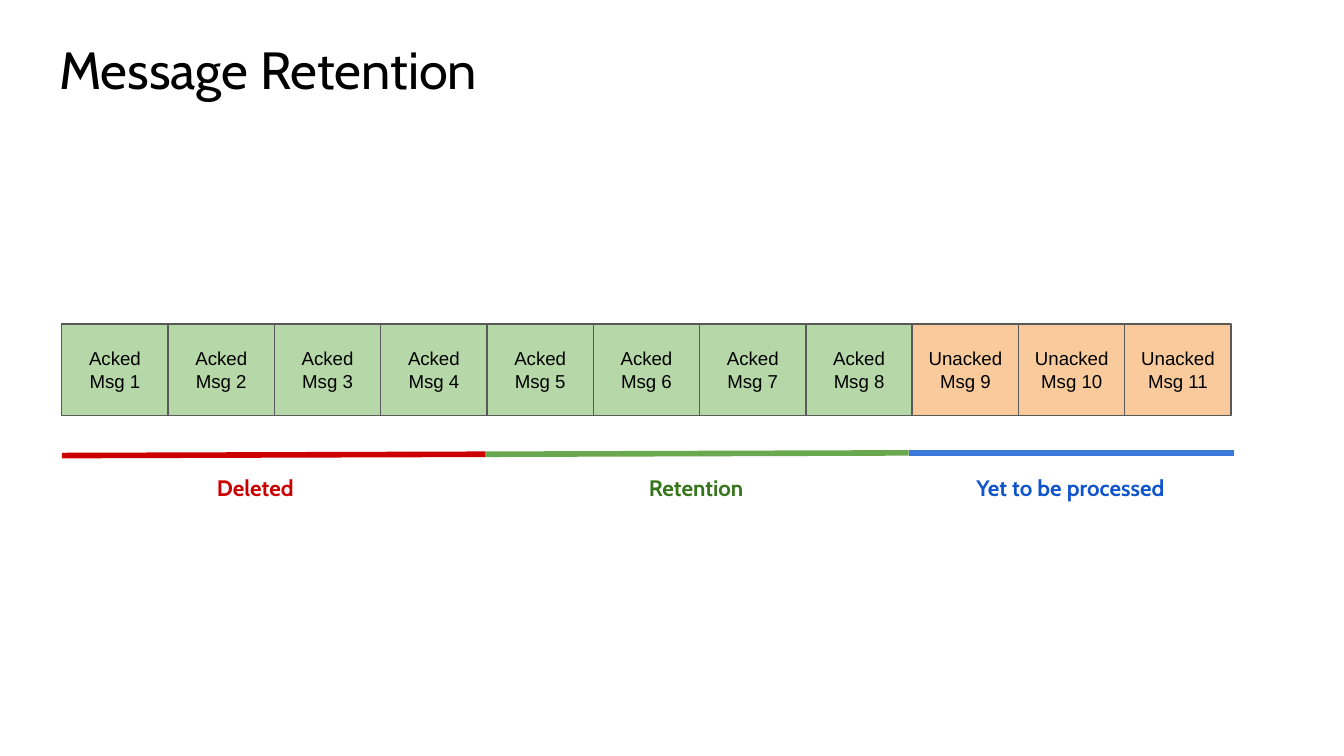
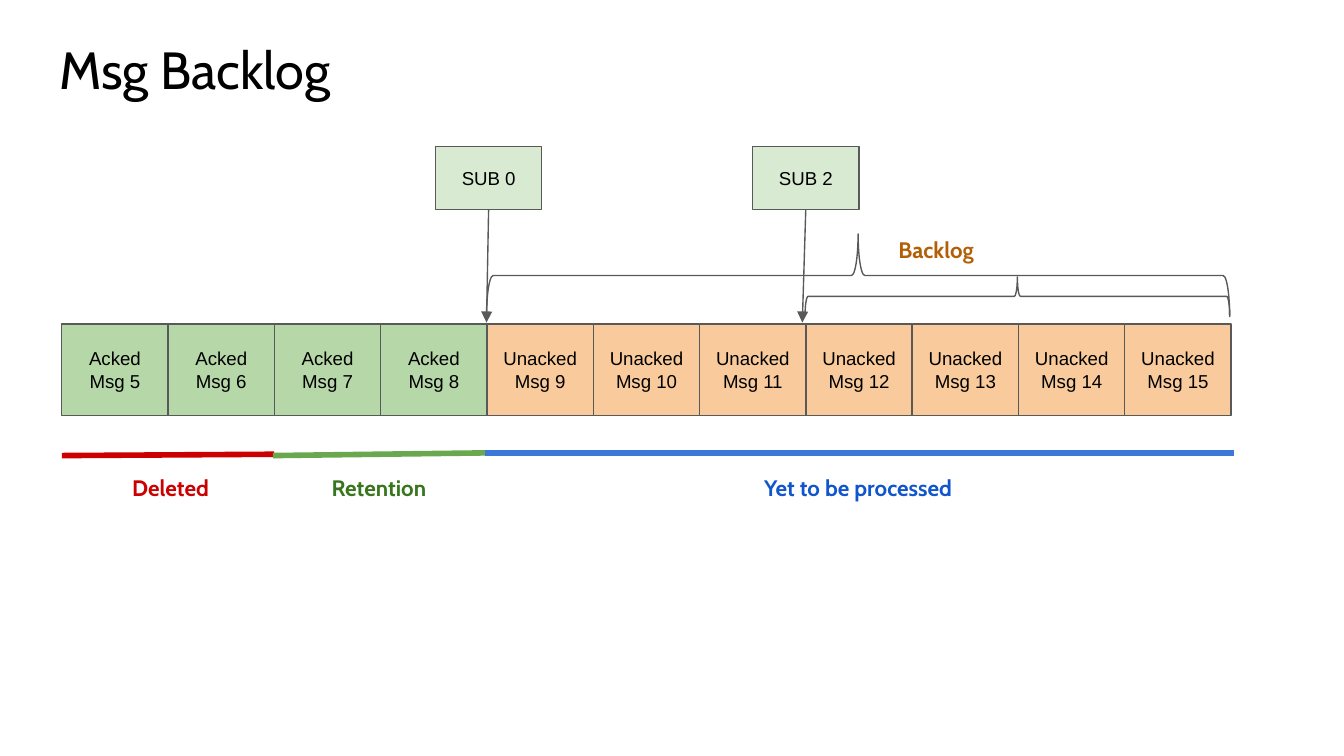
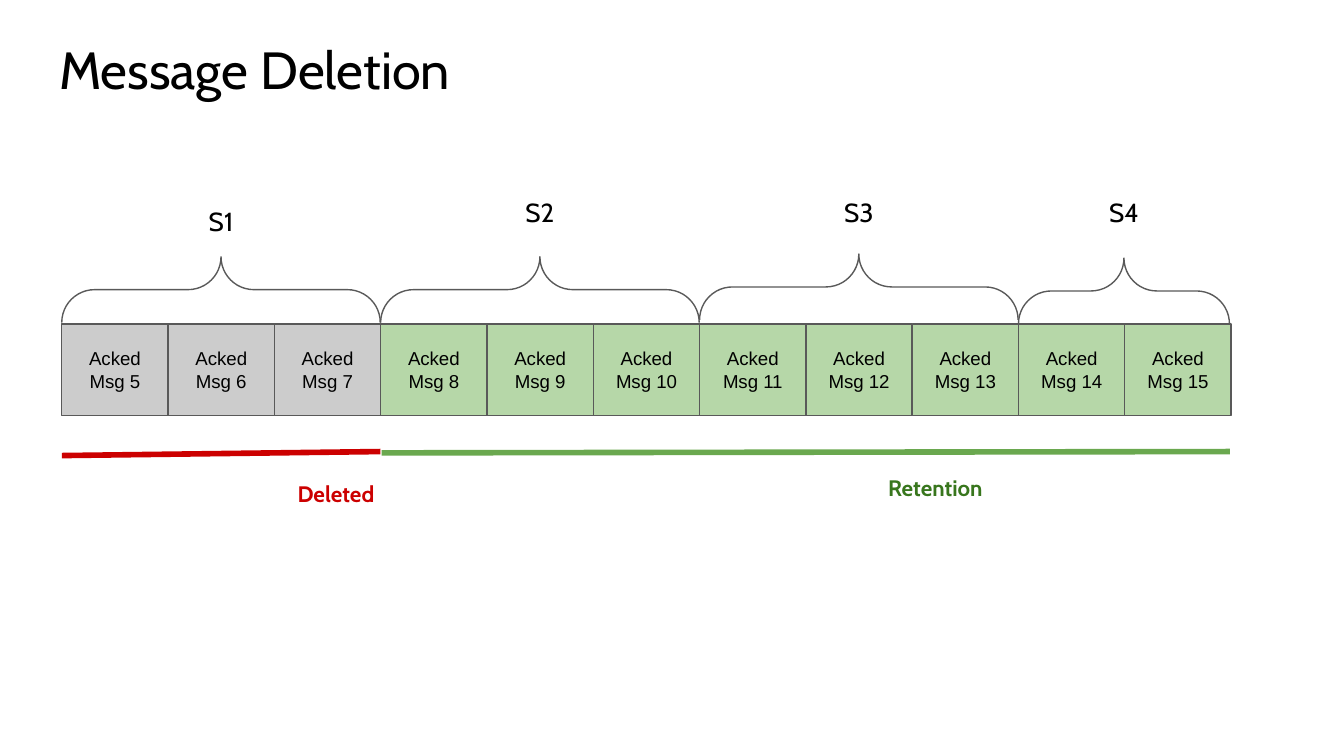
from lxml.etree import SubElement
from pptx import Presentation
from pptx.dml.color import RGBColor
from pptx.enum.shapes import MSO_CONNECTOR, MSO_SHAPE
from pptx.enum.text import MSO_ANCHOR, MSO_AUTO_SIZE, PP_ALIGN
from pptx.oxml.ns import qn
from pptx.util import Inches, Pt

BLACK = "000000"
GRAY = "595959"
SILVER = "CCCCCC"
GREEN = "B6D7A8"
PALE = "D9EAD3"
PEACH = "F9CB9C"
BROWN = "B45F06"

DELETED = ("Deleted", "CC0000", "CC0000")
KEPT = ("Retention", "6AA84F", "38761D")
PENDING = ("Yet to be processed", "3C78D8", "1155CC")

LEFT = 0.46
TOP = 2.41
WIDE = 8.7 / 11
HIGH = 0.68


def paint(part, color):
    part.solid()
    part.fore_color.rgb = RGBColor.from_string(color)


def edge(line, color, width):
    paint(line.fill, color)
    line.width = Pt(width)


def write(shape, lines, size, font, color=BLACK, bold=False,
          align=PP_ALIGN.CENTER, anchor=MSO_ANCHOR.MIDDLE):
    frame = shape.text_frame
    frame.word_wrap = True
    frame.auto_size = MSO_AUTO_SIZE.NONE
    frame.vertical_anchor = anchor
    frame.margin_left = frame.margin_right = Inches(0.1)
    frame.margin_top = frame.margin_bottom = Inches(0.1)
    for index, line in enumerate(lines):
        para = frame.add_paragraph() if index else frame.paragraphs[0]
        para.alignment = align
        run = para.add_run()
        run.text = line
        run.font.size = Pt(size)
        run.font.name = font
        run.font.bold = bold
        paint(run.font.fill, color)


def add_page(deck, text):
    slide = deck.slides.add_slide(deck.slide_layouts[5])
    title = slide.shapes.title
    title.left, title.top = Inches(0.34), Inches(0.18)
    title.width, title.height = Inches(9.32), Inches(0.63)
    write(title, [text], 28, "Cabin", align=PP_ALIGN.LEFT,
          anchor=MSO_ANCHOR.TOP)
    return slide


def add_box(slide, left, top, high, lines, fill):
    box = slide.shapes.add_shape(MSO_SHAPE.RECTANGLE, Inches(left),
                                 Inches(top), Inches(WIDE), Inches(high))
    box.shadow.inherit = False
    paint(box.fill, fill)
    edge(box.line, GRAY, 0.75)
    write(box, lines, 10, "Arial")
    return box


def add_queue(slide, first, groups):
    cells = [(word, fill) for word, fill, count in groups
             for _ in range(count)]
    for index, (word, fill) in enumerate(cells):
        add_box(slide, LEFT + index * WIDE, TOP, HIGH,
                [word, f"Msg {first + index}"], fill)


def add_line(slide, start, end, color, width):
    line = slide.shapes.add_connector(
        MSO_CONNECTOR.STRAIGHT, *(Inches(n) for n in start + end))
    edge(line.line, color, width)
    SubElement(line._element.spPr, qn("a:effectLst"))
    return line


def add_label(slide, left, top, width, text, color):
    box = slide.shapes.add_textbox(Inches(left), Inches(top),
                                   Inches(width), Inches(0.32))
    write(box, [text], 12, "Cabin", color, True)


def add_span(slide, kind, start, end, left, width, top=3.47):
    text, stroke, ink = kind
    add_line(slide, start, end, stroke, 3)
    add_label(slide, left, top, width, text, ink)


def add_brace(slide, left, top, width, height, curve):
    shift = (width - height) / 2
    brace = slide.shapes.add_shape(
        MSO_SHAPE.RIGHT_BRACE, Inches(left + shift), Inches(top - shift),
        Inches(height), Inches(width))
    brace.rotation = 270
    brace.adjustments[0] = curve
    brace.adjustments[1] = 0.5
    brace.shadow.inherit = False
    brace.fill.background()
    edge(brace.line, GRAY, 0.75)


def add_sub(slide, left, text, end):
    box = add_box(slide, left, 1.09, 0.47, [text], PALE)
    arrow = add_line(slide, (left + WIDE / 2, 1.56), (end, 2.4), GRAY, 0.75)
    arrow.begin_connect(box, 2)
    stroke = arrow._element.spPr.find(qn("a:ln"))
    SubElement(stroke, qn("a:tailEnd"), type="triangle")


def add_part(slide, name, left, width, top, high):
    add_brace(slide, left, top, width, 0.49, 0.5)
    wide = 2.24
    box = slide.shapes.add_textbox(
        Inches(left + (width - wide) / 2), Inches(high),
        Inches(wide), Inches(0.49))
    write(box, [name], 14, "Cabin", anchor=MSO_ANCHOR.TOP)


def show_kept(deck):
    slide = add_page(deck, "Message Retention")
    add_queue(slide, 1, [("Acked", GREEN, 8), ("Unacked", PEACH, 3)])
    add_span(slide, DELETED, (LEFT, 3.39), (3.61, 3.38), 1.07, 1.66)
    add_span(slide, KEPT, (3.61, 3.38), (6.76, 3.37), 4.35, 1.66)
    add_span(slide, PENDING, (6.76, 3.37), (9.18, 3.37), 6.78, 2.37)


def show_backlog(deck):
    slide = add_page(deck, "Msg Backlog")
    add_queue(slide, 5, [("Acked", GREEN, 4), ("Unacked", PEACH, 7)])
    add_span(slide, DELETED, (LEFT, 3.39), (2.04, 3.38), 0.44, 1.66)
    add_span(slide, KEPT, (2.03, 3.39), (3.62, 3.37), 1.99, 1.66)
    add_span(slide, PENDING, (3.61, 3.37), (9.18, 3.37), 3.62, 5.53)
    add_sub(slide, 3.24, "SUB 0", 3.62)
    add_sub(slide, 5.6, "SUB 2", 5.97)
    add_brace(slide, 5.99, 2.06, 3.16, 0.29, 0.08)
    add_brace(slide, 3.62, 1.74, 5.53, 0.62, 0.08)
    add_label(slide, 6.52, 1.7, 0.89, "Backlog", BROWN)


def show_purge(deck):
    slide = add_page(deck, "Message Deletion")
    add_queue(slide, 5, [("Acked", SILVER, 3), ("Acked", GREEN, 8)])
    add_span(slide, DELETED, (LEFT, 3.39), (2.83, 3.36), 1.67, 1.66, 3.51)
    add_span(slide, KEPT, (2.84, 3.37), (9.15, 3.36), 6.13, 1.66)
    parts = [("S1", 2.37, 1.91, 1.43), ("S2", 2.37, 1.91, 1.36),
             ("S3", 2.37, 1.89, 1.36), ("S4", 1.57, 1.92, 1.36)]
    for index, (name, width, top, high) in enumerate(parts):
        add_part(slide, name, LEFT + index * 3 * WIDE, width, top, high)


def main():
    deck = Presentation()
    deck.slide_width = Inches(10)
    deck.slide_height = Inches(10 * 9 / 16)
    show_kept(deck)
    show_backlog(deck)
    show_purge(deck)
    deck.save("out.pptx")


if __name__ == "__main__":
    main()
